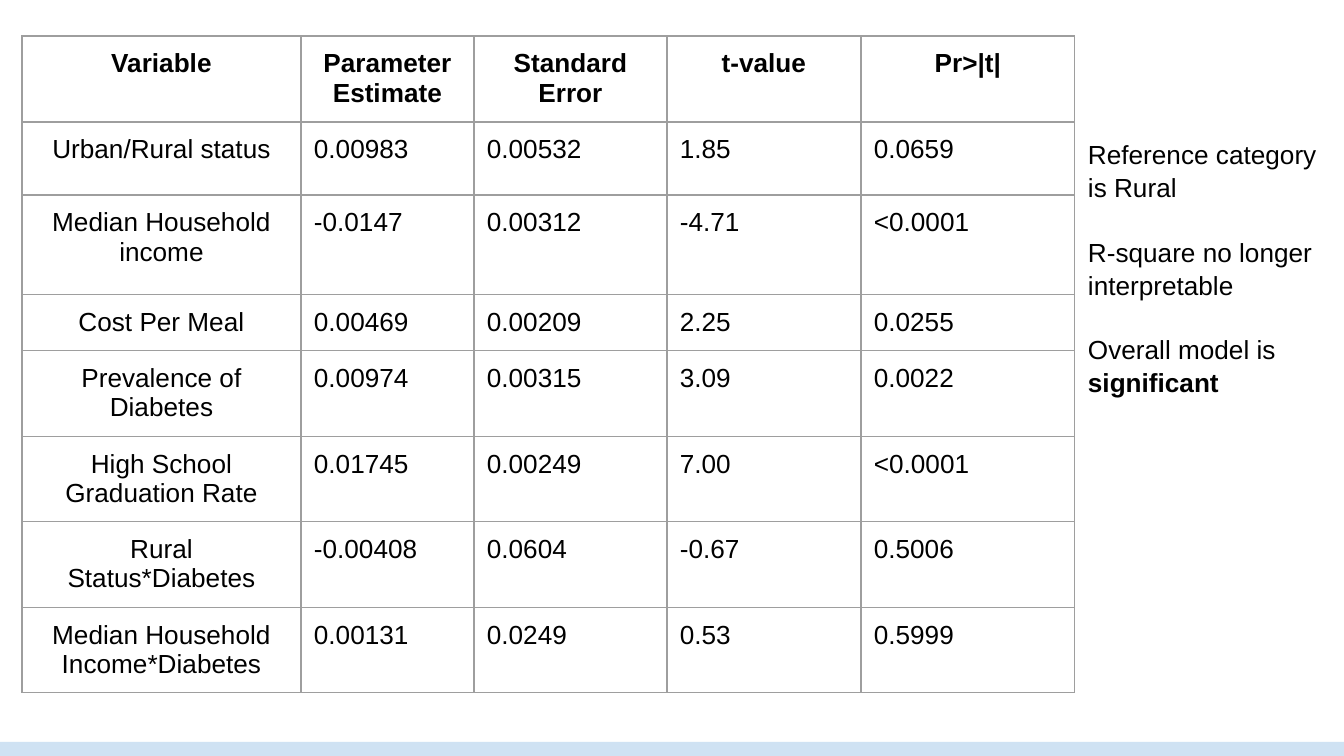
from dataclasses import dataclass

from pptx import Presentation
from pptx import util as u
from pptx.dml import color as c
from pptx.enum import shapes as s, text as t
from pptx.oxml import parse_xml
from pptx.oxml.ns import nsdecls

SCALE = 914400 / 134.4  # EMU in one px


def px(n: int) -> int:
    return u.Emu(round(n * SCALE))


@dataclass(frozen=True)
class Theme:
    font: str = "Arial"
    size: int = 14
    ink: str = "000000"
    rule: str = "9E9E9E"
    band: str = "CFE2F3"
    line: float = 0.75
    pad: int = 13


@dataclass(frozen=True)
class Box:
    left: int
    top: int
    width: int
    height: int

    def emu(self) -> list[int]:
        return [px(n) for n in (self.left, self.top, self.width, self.height)]


@dataclass(frozen=True)
class Row:
    height: int
    cells: tuple[str, ...]


@dataclass(frozen=True)
class Note:
    plain: str
    bold: str = ""


THEME = Theme()
SIZE = Box(0, 0, 1344, 756)
BAND = Box(0, 742, 1344, 14)
NOTES = Box(1075, 124, 269, 362)
LEFT, TOP = 22, 36
COLS = (279, 173, 193, 194, 214)

ROWS = (
    Row(86, ("Variable", "Parameter Estimate", "Standard Error", "t-value", "Pr>|t|")),
    Row(73, ("Urban/Rural status", "0.00983", "0.00532", "1.85", "0.0659")),
    Row(100, ("Median Household income", "-0.0147", "0.00312", "-4.71", "<0.0001")),
    Row(56, ("Cost Per Meal", "0.00469", "0.00209", "2.25", "0.0255")),
    Row(86, ("Prevalence of Diabetes", "0.00974", "0.00315", "3.09", "0.0022")),
    Row(85, ("High School Graduation Rate", "0.01745", "0.00249", "7.00", "<0.0001")),
    Row(86, ("Rural Status*Diabetes", "-0.00408", "0.0604", "-0.67", "0.5006")),
    Row(85, ("Median Household Income*Diabetes", "0.00131", "0.0249", "0.53", "0.5999")),
)

TEXTS = (
    Note("Reference category is Rural"),
    Note("R-square no longer interpretable"),
    Note("Overall model is ", "significant"),
)


def apply(item, values: dict) -> None:
    for name, value in values.items():
        setattr(item, name, value)


def pads() -> dict:
    return {f"margin_{side}": px(THEME.pad) for side in ("left", "top", "right", "bottom")}


def write(para, words: str, bold: bool = False) -> None:
    run = para.add_run()
    run.text = words
    apply(run.font, {"name": THEME.font, "size": u.Pt(THEME.size), "bold": bold})
    run.font.color.rgb = c.RGBColor.from_string(THEME.ink)


def edge(cell) -> None:
    props = cell._tc.get_or_add_tcPr()
    for at, side in enumerate(("lnL", "lnR", "lnT", "lnB")):
        props.insert(at, parse_xml(
            f'<a:{side} {nsdecls("a")} w="{u.Pt(THEME.line)}"><a:solidFill>'
            f'<a:srgbClr val="{THEME.rule}"/></a:solidFill></a:{side}>'))


def draw_band(slide, box: Box) -> None:
    band = slide.shapes.add_shape(s.MSO_SHAPE.RECTANGLE, *box.emu())
    band.shadow.inherit = False
    band.fill.solid()
    band.fill.fore_color.rgb = c.RGBColor.from_string(THEME.band)
    band.line.fill.background()


def draw_table(slide, rows: tuple[Row, ...]) -> None:
    box = Box(LEFT, TOP, sum(COLS), sum(row.height for row in rows))
    table = slide.shapes.add_table(len(rows), len(COLS), *box.emu()).table
    apply(table, {"first_row": False, "horz_banding": False})
    for col, width in zip(table.columns, COLS):
        col.width = px(width)
    for y, row in enumerate(rows):
        table.rows[y].height = px(row.height)
        for x, words in enumerate(row.cells):
            cell = table.cell(y, x)
            apply(cell, pads())
            cell.fill.background()
            edge(cell)
            # Heads and variable names are centred, values sit left
            para = cell.text_frame.paragraphs[0]
            mid = y == 0 or x == 0
            para.alignment = t.PP_ALIGN.CENTER if mid else t.PP_ALIGN.LEFT
            write(para, words, bold=y == 0)


def draw_notes(slide, box: Box, notes: tuple[Note, ...]) -> None:
    frame = slide.shapes.add_textbox(*box.emu()).text_frame
    apply(frame, {"word_wrap": True, "vertical_anchor": t.MSO_ANCHOR.TOP, **pads()})
    for i, note in enumerate(notes):
        para = frame.add_paragraph() if i else frame.paragraphs[0]
        apply(para, {"line_spacing": 1.05, "space_before": u.Pt(17 if i else 0)})
        write(para, note.plain)
        if note.bold:
            write(para, note.bold, bold=True)


def main() -> None:
    deck = Presentation()
    apply(deck, {"slide_width": px(SIZE.width), "slide_height": px(SIZE.height)})
    slide = deck.slides.add_slide(deck.slide_layouts[6])
    # Foot band, model results, remarks
    draw_band(slide, BAND)
    draw_table(slide, ROWS)
    draw_notes(slide, NOTES, TEXTS)
    deck.save("out.pptx")


if __name__ == "__main__":
    main()
